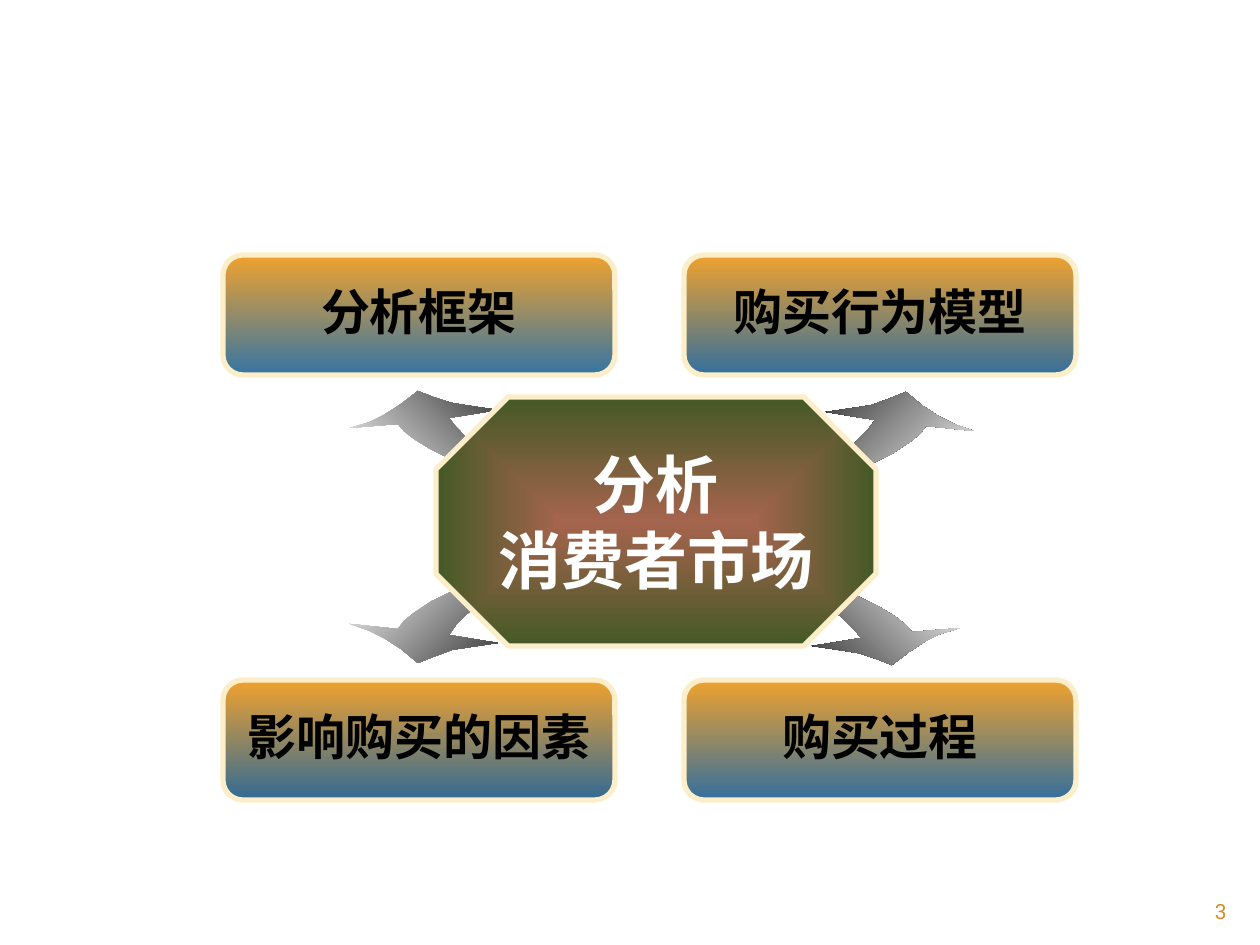
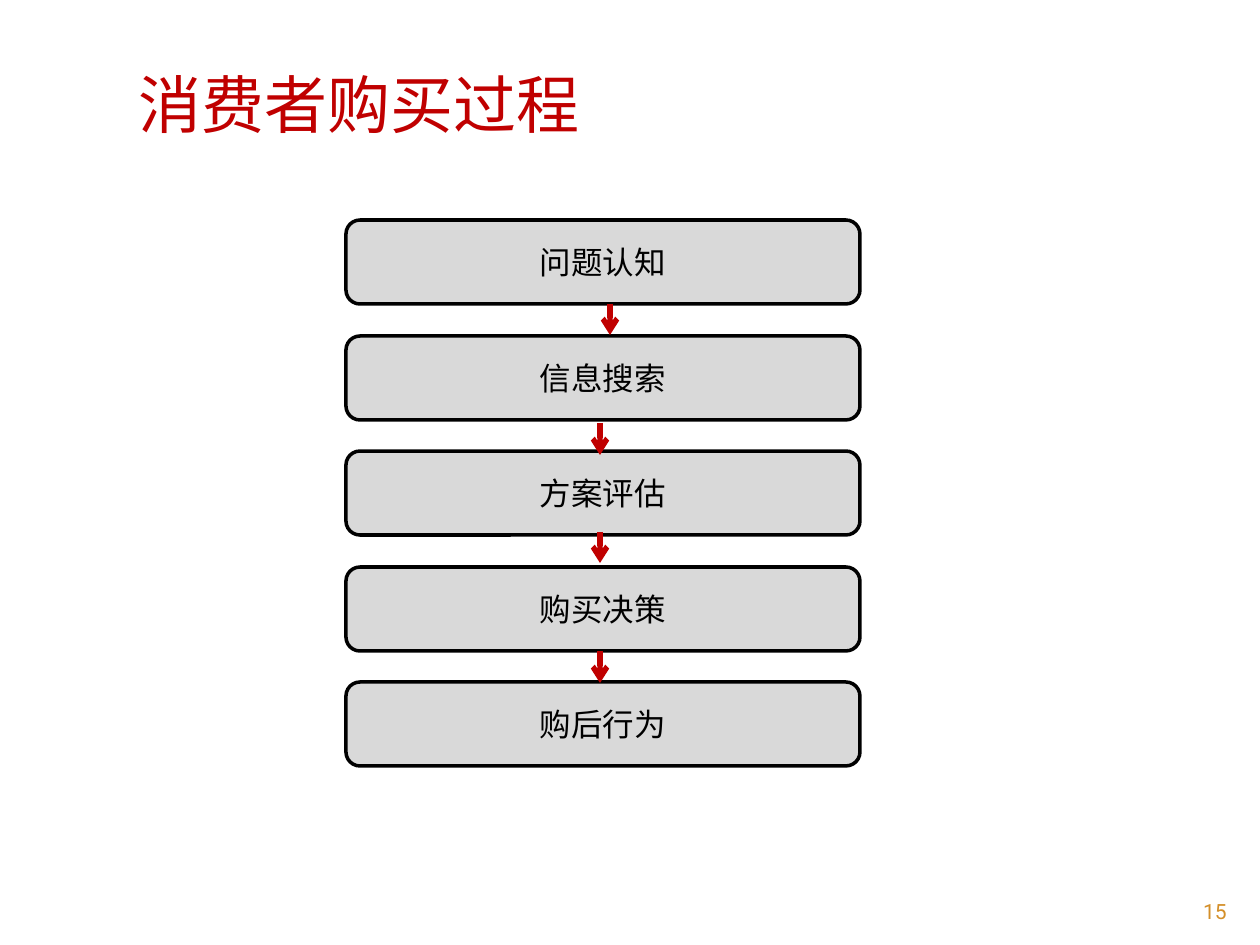
"""Build two slides on the consumer market: its topics and the buying process."""
from dataclasses import dataclass

from lxml import etree
from pptx import Presentation
from pptx.dml.color import RGBColor
from pptx.enum.shapes import MSO_CONNECTOR, MSO_SHAPE
from pptx.enum.text import MSO_ANCHOR, PP_ALIGN
from pptx.oxml.ns import qn
from pptx.util import Pt

PX = 914400 / 126
LATIN, CJK = "Roboto", "Noto Sans CJK JP"
BLACK, WHITE, RED, GRAY = "000000", "FFFFFF", "C00000", "D9D9D9"
CREAM, AMBER, GOLD = "FBEEC9", "F0A22E", "D48F29"
ROUNDED, OCTAGON = MSO_SHAPE.ROUNDED_RECTANGLE, MSO_SHAPE.OCTAGON
STRAIGHT = MSO_CONNECTOR.STRAIGHT
LEFT, CENTER, RIGHT = PP_ALIGN.LEFT, PP_ALIGN.CENTER, PP_ALIGN.RIGHT
MIDDLE = MSO_ANCHOR.MIDDLE
TITLE_ONLY, BLANK = 5, 6

SWOOSH_SIZE = (224, 97)
SWOOSH = [
    (0, 97), (32, 97), (59, 93), (89, 86), (117, 74), (142, 62), (160, 50),
    (170, 42), (176, 34), (224, 39), (204, 32), (190, 25), (173, 14), (156, 0),
    (141, 6), (122, 13), (103, 16), (76, 20), (125, 28), (118, 38), (107, 49),
    (91, 62), (73, 76), (52, 86), (32, 91),
]


@dataclass(frozen=True)
class Box:
    left: int
    top: int
    width: int
    height: int

    def emu(self) -> list[int]:
        return [px(n) for n in (self.left, self.top, self.width, self.height)]


@dataclass(frozen=True)
class TextStyle:
    size: int
    color: str
    align: PP_ALIGN = CENTER
    bold: bool = False
    font: str = LATIN
    spacing: float | None = None


@dataclass(frozen=True)
class Topic:
    text: str
    left: int
    top: int
    end_color: str


@dataclass(frozen=True)
class Swoosh:
    box: Box
    flip_x: bool
    flip_y: bool


@dataclass(frozen=True)
class StepArrow:
    x: int
    top: int
    bottom: int


PAGE_NUMBER = TextStyle(12, GOLD, RIGHT)
TITLE = TextStyle(36, RED, LEFT, font=CJK)
HUB = TextStyle(36, WHITE, bold=True)
TOPIC = TextStyle(28, BLACK, bold=True, spacing=0.9)
STEP = TextStyle(18, BLACK)

TOPICS = [
    Topic("分析框架", 223, 255, "3675A3"),
    Topic("购买行为模型", 684, 255, "346F9C"),
    Topic("影响购买的因素", 223, 680, "326A95"),
    Topic("购买过程", 684, 680, "346F9C"),
]
SWOOSHES = [
    Swoosh(Box(750, 392, 224, 97), False, False),
    Swoosh(Box(736, 572, 224, 93), False, True),
    Swoosh(Box(350, 566, 224, 97), True, True),
    Swoosh(Box(350, 391, 224, 93), True, False),
]
STEPS = ["问题认知", "信息搜索", "方案评估", "购买决策", "购后行为"]
STEP_ARROWS = [
    StepArrow(610, 304, 335),
    StepArrow(600, 423, 455),
    StepArrow(600, 532, 563),
    StepArrow(600, 651, 683),
]


def px(length: int) -> int:
    return round(length * PX)


def rgb(value: str) -> RGBColor:
    return RGBColor.from_string(value)


def write(frame, text: str, style: TextStyle) -> None:
    frame.text = text
    for paragraph in frame.paragraphs:
        paragraph.alignment = style.align
        if style.spacing:
            paragraph.line_spacing = style.spacing
        for run in paragraph.runs:
            font = run.font
            font.size, font.bold, font.name = Pt(style.size), style.bold, style.font
            font.color.rgb = rgb(style.color)
            etree.SubElement(run._r.rPr, qn("a:ea")).set("typeface", CJK)


def fill_gradient(shape, start: str, end: str, clockwise: int) -> None:
    shape.fill.gradient()
    shape.fill.gradient_angle = (360 - clockwise) % 360
    for stop, color in zip(shape.fill.gradient_stops, (start, end)):
        stop.color.rgb = rgb(color)


def center_gradient(shape) -> None:
    linear = shape._element.spPr.find(f".//{qn('a:lin')}")
    radial = etree.Element(qn("a:path"), {"path": "shape"})
    sides = dict.fromkeys("ltrb", "50000")
    etree.SubElement(radial, qn("a:fillToRect"), sides)
    linear.getparent().replace(linear, radial)


def add_panel(slide, kind: MSO_SHAPE, box: Box, border: str, width: int,
              text: str, style: TextStyle):
    panel = slide.shapes.add_shape(kind, *box.emu())
    panel.shadow.inherit = False
    panel.line.color.rgb, panel.line.width = rgb(border), Pt(width)
    panel.text_frame.vertical_anchor = MIDDLE
    write(panel.text_frame, text, style)
    return panel


def add_page_number(slide, number: int) -> None:
    footer = slide.shapes.add_textbox(*Box(1134, 892, 105, 34).emu())
    footer.text_frame.word_wrap = True
    write(footer.text_frame, str(number), PAGE_NUMBER)


def add_swoosh(slide, swoosh: Swoosh) -> None:
    box = swoosh.box
    width, height = SWOOSH_SIZE
    points = [
        (box.left + (width - x if swoosh.flip_x else x),
         box.top + round((height - y if swoosh.flip_y else y) * box.height / height))
        for x, y in SWOOSH
    ]
    outline = slide.shapes.build_freeform(*points[0], scale=PX)
    outline.add_line_segments(points[1:], close=True)
    arrow = outline.convert_to_shape()
    arrow.shadow.inherit = False
    arrow.line.fill.background()
    colors = (WHITE, BLACK) if swoosh.flip_x else (BLACK, WHITE)
    fill_gradient(arrow, *colors, 45 if swoosh.flip_x == swoosh.flip_y else 315)


def add_topic(slide, topic: Topic) -> None:
    card = add_panel(slide, ROUNDED, Box(topic.left, topic.top, 392, 120),
                     CREAM, 3, topic.text, TOPIC)
    fill_gradient(card, AMBER, topic.end_color, 90)
    frame = card.text_frame
    frame.margin_left = frame.margin_right = px(15)
    frame.margin_top = frame.margin_bottom = px(8)


def add_step_arrow(slide, arrow: StepArrow) -> None:
    ends = [px(n) for n in (arrow.x, arrow.top, arrow.x, arrow.bottom)]
    connector = slide.shapes.add_connector(STRAIGHT, *ends)
    connector.line.color.rgb, connector.line.width = rgb(RED), Pt(3)
    properties = connector._element.spPr
    etree.SubElement(properties.find(qn("a:ln")), qn("a:tailEnd")).set("type", "arrow")
    etree.SubElement(properties, qn("a:effectLst"))


def build_overview(deck) -> None:
    slide = deck.slides.add_slide(deck.slide_layouts[BLANK])
    add_page_number(slide, 3)
    for swoosh in SWOOSHES:
        add_swoosh(slide, swoosh)
    hub = add_panel(slide, OCTAGON, Box(436, 397, 440, 249), CREAM, 3,
                    "分析\n消费者市场", HUB)
    hub.adjustments[0] = 0.29
    hub.text_frame.word_wrap = False
    fill_gradient(hub, "A5644E", "445926", 0)
    center_gradient(hub)
    for topic in TOPICS:
        add_topic(slide, topic)


def build_process(deck) -> None:
    slide = deck.slides.add_slide(deck.slide_layouts[TITLE_ONLY])
    add_page_number(slide, 15)
    heading = slide.shapes.title
    heading.left, heading.top, heading.width, heading.height = Box(126, 38, 1092, 130).emu()
    heading.text_frame.vertical_anchor = MIDDLE
    write(heading.text_frame, "消费者购买过程", TITLE)
    for index, text in enumerate(STEPS):
        top = (441 + 231 * index) // 2
        step = add_panel(slide, ROUNDED, Box(346, top, 514, 84), BLACK, 2, text, STEP)
        step.fill.solid()
        step.fill.fore_color.rgb = rgb(GRAY)
    for arrow in STEP_ARROWS:
        add_step_arrow(slide, arrow)


def main() -> None:
    deck = Presentation()
    deck.slide_width, deck.slide_height = px(1260), px(945)
    build_overview(deck)
    build_process(deck)
    deck.save("out.pptx")


if __name__ == "__main__":
    main()
